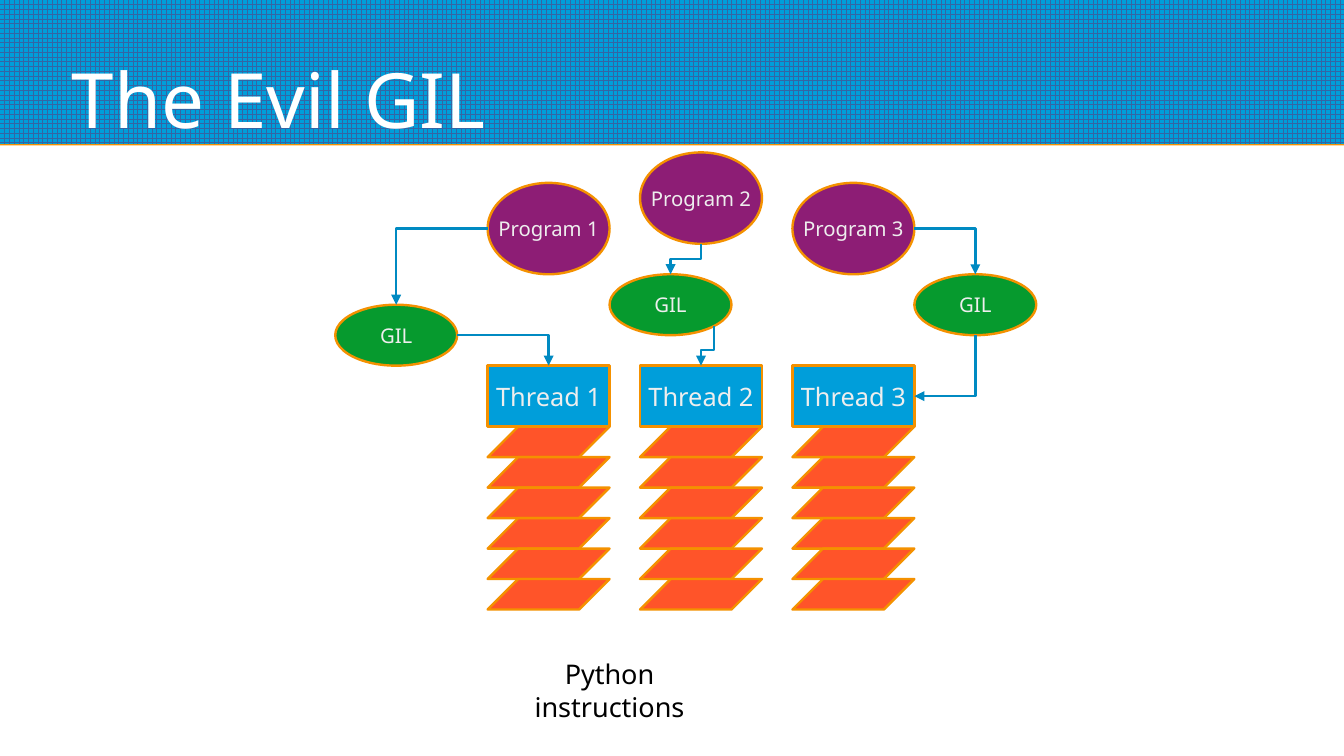
from lxml.etree import SubElement
from pptx import Presentation
from pptx.dml.color import RGBColor
from pptx.enum.dml import MSO_PATTERN
from pptx.enum.shapes import MSO_CONNECTOR, MSO_SHAPE
from pptx.enum.text import MSO_ANCHOR, MSO_AUTO_SIZE, PP_ALIGN
from pptx.oxml.ns import qn
from pptx.util import Pt

FONT = "Noto Sans"
BLUE, GRID_BLUE, ARROW_BLUE = "009EDA", "3465A4", "008AC2"
ORANGE, RED, PURPLE, GREEN = "F49100", "FF5429", "8D1D75", "069A2E"
WHITE, PALE, BLACK = "FFFFFF", "EEEEEE", "000000"
LINE_WIDTH = 1.42

SLIDE_WIDTH, SLIDE_HEIGHT = 793.7, 446.5
BAND_HEIGHT = 85
NODE_WIDTH, COLUMN_STEP = 72, 90
FIRST_COLUMN = 288
THREAD_TOP, THREAD_HEIGHT = 216, 36
INSTRUCTION_HEIGHT, INSTRUCTION_COUNT = 18, 6

PROGRAM_TOPS = [108, 90, 108]
GIL_SPOTS = [(198, 180), (360, 162), (540, 162)]


def color(value):
    """Turn a hex string into a colour."""
    return RGBColor.from_string(value)


def write(shape, text, size=12, ink=PALE, align=PP_ALIGN.CENTER,
          anchor=MSO_ANCHOR.MIDDLE, inset=2.83, wrap=False):
    """Put formatted text into a shape."""
    frame = shape.text_frame
    frame.auto_size = MSO_AUTO_SIZE.NONE
    frame.word_wrap = wrap
    frame.vertical_anchor = anchor
    frame.margin_left = frame.margin_right = Pt(inset)
    frame.margin_top = frame.margin_bottom = Pt(inset)
    para = frame.paragraphs[0]
    para.alignment = align
    span = para.add_run()
    span.text = text
    span.font.name = FONT
    span.font.size = Pt(size)
    span.font.color.rgb = color(ink)


def add_node(page, kind, left, top, height, fill, text="", size=12):
    """Add an outlined shape one column wide, with an optional label."""
    node = page.shapes.add_shape(kind, Pt(left), Pt(top),
                                 Pt(NODE_WIDTH), Pt(height))
    node.shadow.inherit = False
    node.fill.solid()
    node.fill.fore_color.rgb = color(fill)
    node.line.color.rgb = color(ORANGE)
    node.line.width = Pt(LINE_WIDTH)
    if text:
        write(node, text, size=size)
    return node


def add_elbow(page, start, end, downward=False, bend=None):
    """Add a bent arrow; a downward one leaves vertically and turns left."""
    (x1, y1), (x2, y2) = start, end
    if downward:
        # The frame is laid out unrotated, then turned a quarter about its centre.
        middle_x, middle_y = (x1 + x2) / 2, (y1 + y2) / 2
        half_width, half_height = (y2 - y1) / 2, (x1 - x2) / 2
        x1, x2 = middle_x - half_width, middle_x + half_width
        y1, y2 = middle_y - half_height, middle_y + half_height
    arrow = page.shapes.add_connector(MSO_CONNECTOR.ELBOW,
                                      Pt(x1), Pt(y1), Pt(x2), Pt(y2))
    arrow.line.color.rgb = color(ARROW_BLUE)
    arrow.line.width = Pt(LINE_WIDTH)
    properties = arrow._element.spPr
    if downward:
        properties.find(qn("a:xfrm")).set("rot", "5400000")
    geometry = properties.find(qn("a:prstGeom"))
    if bend is None:
        geometry.set("prst", "bentConnector2")
    else:
        guides = geometry.find(qn("a:avLst"))
        if guides is None:
            guides = SubElement(geometry, qn("a:avLst"))
        SubElement(guides, qn("a:gd"), name="adj1",
                   fmla=f"val {round(bend * 100000)}")
    SubElement(properties.find(qn("a:ln")), qn("a:tailEnd"), type="triangle")
    SubElement(properties, qn("a:effectLst"))


def add_band(page):
    """Add the gridded title band with its thin orange edge, behind the rest."""
    band = page.shapes.add_shape(MSO_SHAPE.RECTANGLE, 0, 0,
                                 Pt(SLIDE_WIDTH), Pt(BAND_HEIGHT))
    band.fill.patterned()
    band.fill.pattern = MSO_PATTERN.LARGE_GRID
    band.fill.fore_color.rgb = color(GRID_BLUE)
    band.fill.back_color.rgb = color(BLUE)
    band.line.fill.background()
    band.shadow.inherit = False
    effects = band._element.spPr.find(qn("a:effectLst"))
    edge = SubElement(effects, qn("a:outerShdw"), blurRad="0",
                      dist=str(Pt(0.9)), dir="5400000", rotWithShape="0")
    SubElement(edge, qn("a:srgbClr"), val=ORANGE)
    page.shapes._spTree.insert(2, band._element)


def add_title(page, text):
    """Place and fill the title placeholder."""
    title = page.shapes.title
    title.left, title.top = Pt(42.5), Pt(7)
    title.width, title.height = Pt(708.5), Pt(78)
    write(title, text, size=45, ink=WHITE, align=PP_ALIGN.LEFT,
          anchor=MSO_ANCHOR.BOTTOM, inset=0, wrap=True)


def add_column(page, index):
    """Add one program, its GIL, its thread and the thread's instructions."""
    left = FIRST_COLUMN + index * COLUMN_STEP
    add_node(page, MSO_SHAPE.OVAL, left, PROGRAM_TOPS[index], 54, PURPLE,
             f"Program {index + 1}")
    gil_left, gil_top = GIL_SPOTS[index]
    add_node(page, MSO_SHAPE.OVAL, gil_left, gil_top, 36, GREEN, "GIL")
    add_node(page, MSO_SHAPE.RECTANGLE, left, THREAD_TOP, THREAD_HEIGHT, BLUE,
             f"Thread {index + 1}", size=15)
    for row in range(INSTRUCTION_COUNT):
        top = THREAD_TOP + THREAD_HEIGHT + row * INSTRUCTION_HEIGHT
        instruction = add_node(page, MSO_SHAPE.PARALLELOGRAM, left, top,
                               INSTRUCTION_HEIGHT, RED)
        instruction.adjustments[0] = 1


def add_arrows(page):
    """Link each program to its GIL and each GIL to its thread."""
    add_elbow(page, (288, 135), (234, 180))
    add_elbow(page, (270, 198), (324, 216))
    add_elbow(page, (414, 144), (396, 162), downward=True, bend=0.5)
    add_elbow(page, (421.5, 192.7), (414, 216), downward=True, bend=0.61)
    add_elbow(page, (540, 135), (576, 162))
    add_elbow(page, (576, 198), (540, 234), downward=True)


def add_caption(page, text):
    """Add the caption below the instruction stacks."""
    box = page.shapes.add_textbox(Pt(288), Pt(383), Pt(144), Pt(49))
    write(box, text, size=16, ink=BLACK, wrap=True)


def main():
    """Build the slide and save it."""
    deck = Presentation()
    deck.slide_width, deck.slide_height = Pt(SLIDE_WIDTH), Pt(SLIDE_HEIGHT)
    page = deck.slides.add_slide(deck.slide_layouts[5])
    add_band(page)
    add_title(page, "The Evil GIL")
    for index in range(len(PROGRAM_TOPS)):
        add_column(page, index)
    add_arrows(page)
    add_caption(page, "Python instructions")
    deck.save("out.pptx")


main()
